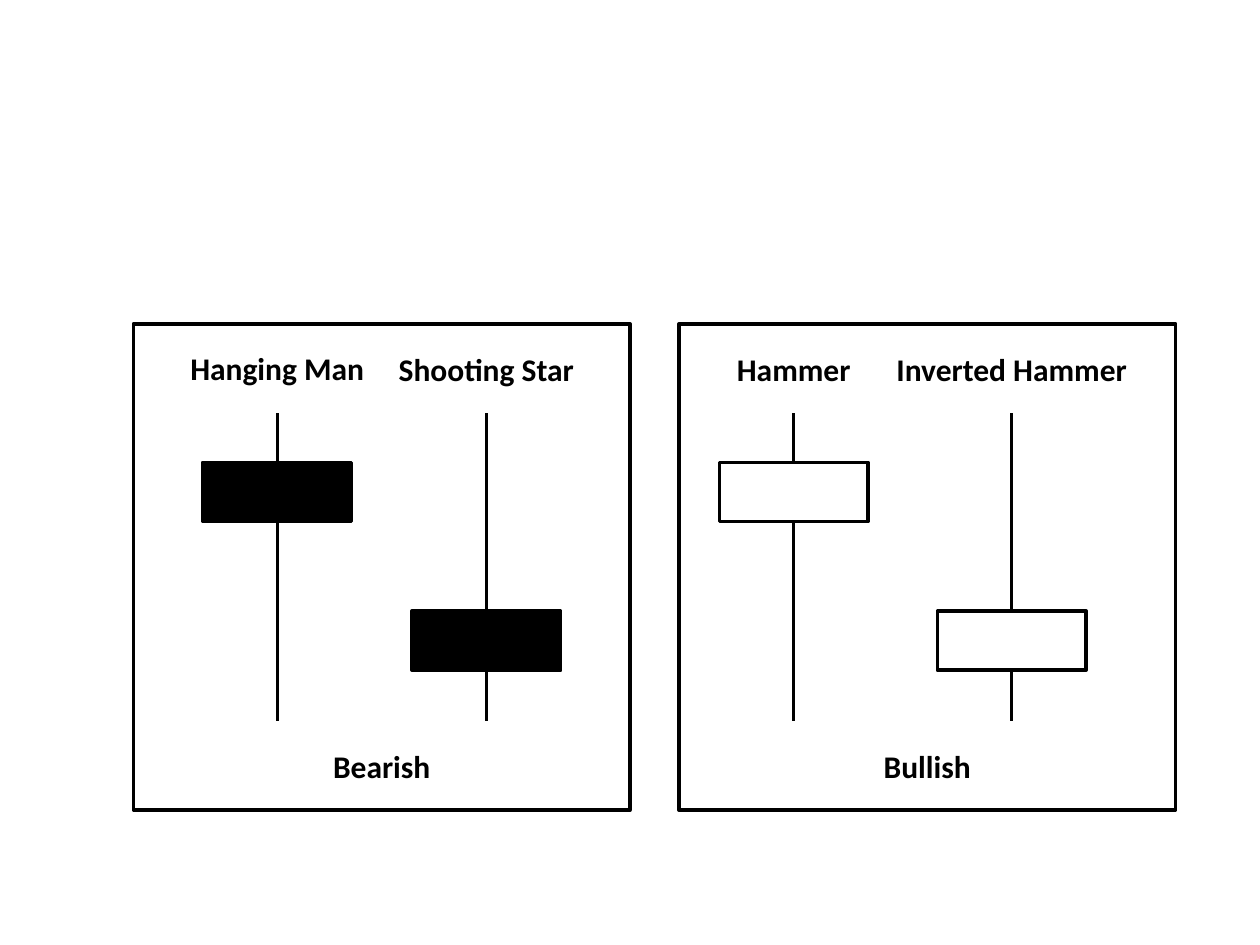
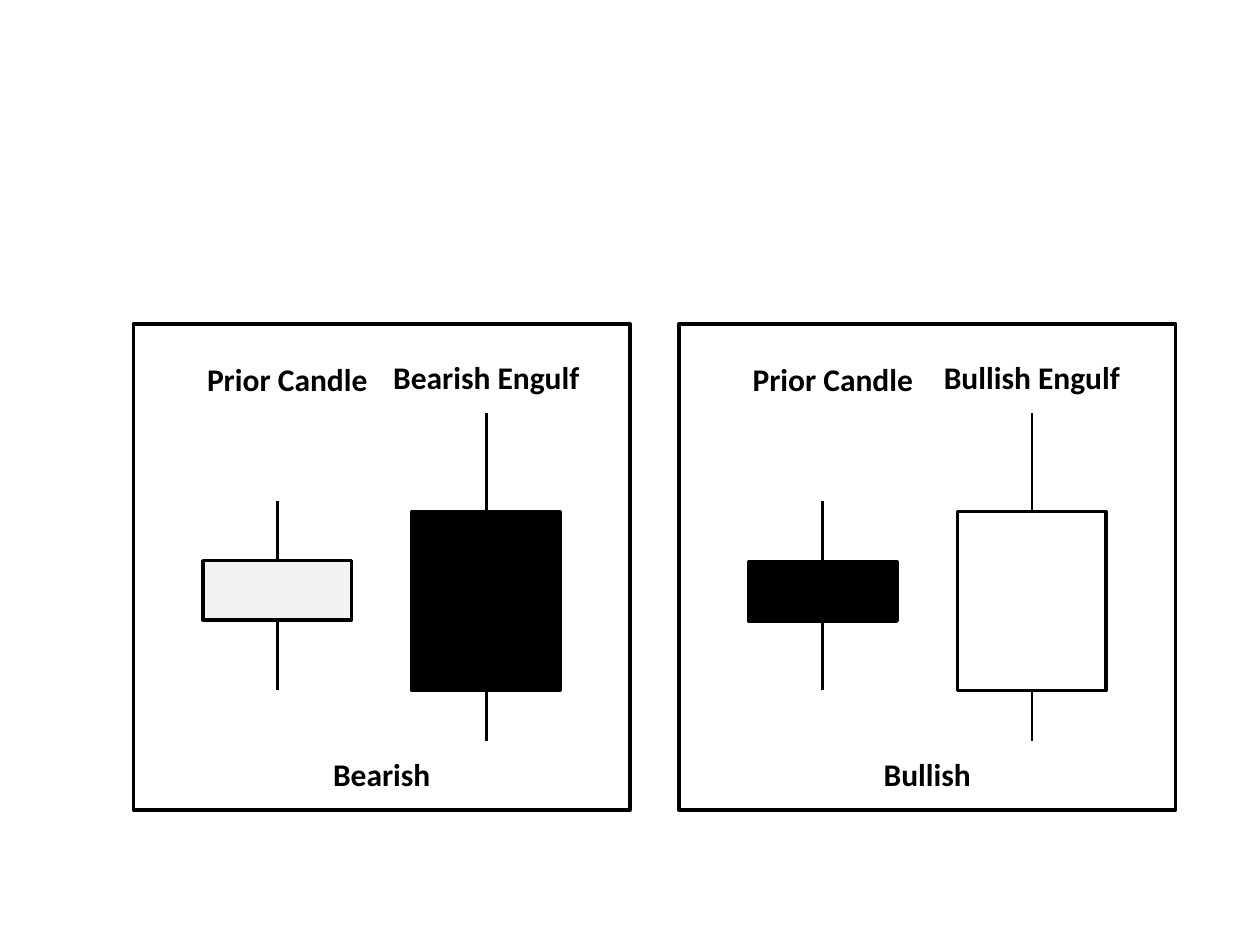
from dataclasses import dataclass

from lxml import etree
from pptx import Presentation
from pptx.dml.color import RGBColor
from pptx.enum import shapes, text
from pptx.oxml import ns
from pptx.util import Inches, Pt

BLACK = RGBColor(0x00, 0x00, 0x00)
WHITE = RGBColor(0xFF, 0xFF, 0xFF)
LIGHT_GREY = RGBColor(0xF2, 0xF2, 0xF2)
FONT = "Calibri"

# Shared geometry, in inches
PANEL_TOP, PANEL_W, PANEL_H = 2.57, 3.94, 3.86
PANEL_LEFTS = (1.06, 5.39)
BODY_W, BODY_H = 1.18, 0.47
LABEL_H, CAPTION_W = 0.4, 1.65


@dataclass
class Candle:
    label: str
    label_w: float
    label_top: float
    x: float  # centre, measured from the panel's left edge
    high: float
    low: float
    body_top: float
    fill: RGBColor
    body_h: float = BODY_H
    label_shift: float = 0


@dataclass
class Panel:
    caption: str
    caption_top: float
    candles: tuple[Candle, ...]


def add_label(slide, words: str, centre: float, top: float, width: float) -> None:
    sp = slide.shapes.add_textbox(Inches(centre - width / 2), Inches(top),
                                  Inches(width), Inches(LABEL_H))
    tf = sp.text_frame
    tf.word_wrap = True
    tf.auto_size = text.MSO_AUTO_SIZE.SHAPE_TO_FIT_TEXT
    p = tf.paragraphs[0]
    p.alignment = text.PP_ALIGN.CENTER
    r = p.add_run()
    r.text = words
    r.font.name, r.font.size, r.font.bold = FONT, Pt(18), True
    r.font.color.rgb = BLACK


def add_box(slide, left: float, top: float, width: float, height: float,
            fill: RGBColor | None = None) -> None:
    sp = slide.shapes.add_shape(shapes.MSO_SHAPE.RECTANGLE, Inches(left), Inches(top),
                                Inches(width), Inches(height))
    sp.shadow.inherit = False
    if fill is None:
        sp.fill.background()
    else:
        sp.fill.solid()
        sp.fill.fore_color.rgb = fill
    sp.line.color.rgb = BLACK
    sp.line.width = Pt(2)


def add_wick(slide, x: float, high: float, low: float) -> None:
    wick = slide.shapes.add_connector(shapes.MSO_CONNECTOR.STRAIGHT, Inches(x), Inches(high),
                                      Inches(x), Inches(low))
    wick.line.color.rgb = BLACK
    wick.line.width = Pt(1.5)
    etree.SubElement(wick._element.spPr, ns.qn("a:effectLst"))


def add_candle(slide, candle: Candle, panel_left: float) -> None:
    x = panel_left + candle.x
    add_wick(slide, x, candle.high, candle.low)
    add_box(slide, x - BODY_W / 2, candle.body_top, BODY_W, candle.body_h, candle.fill)
    add_label(slide, candle.label, x + candle.label_shift, candle.label_top, candle.label_w)


def add_panel(slide, panel: Panel, left: float) -> None:
    add_box(slide, left, PANEL_TOP, PANEL_W, PANEL_H)
    for candle in panel.candles:
        add_candle(slide, candle, left)
    add_label(slide, panel.caption, left + PANEL_W / 2, panel.caption_top, CAPTION_W)


def prior_candle(body_top: float, fill: RGBColor) -> Candle:
    return Candle("Prior Candle", 1.81, 2.81, 1.14, 3.98, 5.48, body_top, fill,
                  label_shift=0.08)


def engulfing_candle(label: str, fill: RGBColor) -> Candle:
    return Candle(label, 1.81, 2.79, 2.8, 3.28, 5.88, 4.06, fill, body_h=1.42)


# Single-candle reversals
REVERSALS = (
    Panel("Bearish", 5.88, (
        Candle("Hanging Man", 1.65, 2.72, 1.14, 3.28, 5.72, 3.67, BLACK),
        Candle("Shooting Star", 1.65, 2.73, 2.8, 3.28, 5.72, 4.85, BLACK))),
    Panel("Bullish", 5.88, (
        Candle("Hammer", 1.34, 2.73, 0.91, 3.28, 5.72, 3.67, WHITE),
        Candle("Inverted Hammer", 2.13, 2.73, 2.64, 3.28, 5.72, 4.85, WHITE))),
)

# Engulfing pairs
ENGULFING = (
    Panel("Bearish", 5.94, (prior_candle(4.45, LIGHT_GREY),
                            engulfing_candle("Bearish Engulf", BLACK))),
    Panel("Bullish", 5.94, (prior_candle(4.46, BLACK),
                            engulfing_candle("Bullish Engulf", WHITE))),
)


def main() -> None:
    prs = Presentation()
    prs.slide_width, prs.slide_height = Inches(10), Inches(7.5)
    blank = prs.slide_layouts[6]
    for panels in (REVERSALS, ENGULFING):
        slide = prs.slides.add_slide(blank)
        for panel, left in zip(panels, PANEL_LEFTS):
            add_panel(slide, panel, left)
    prs.save("out.pptx")


if __name__ == "__main__":
    main()
